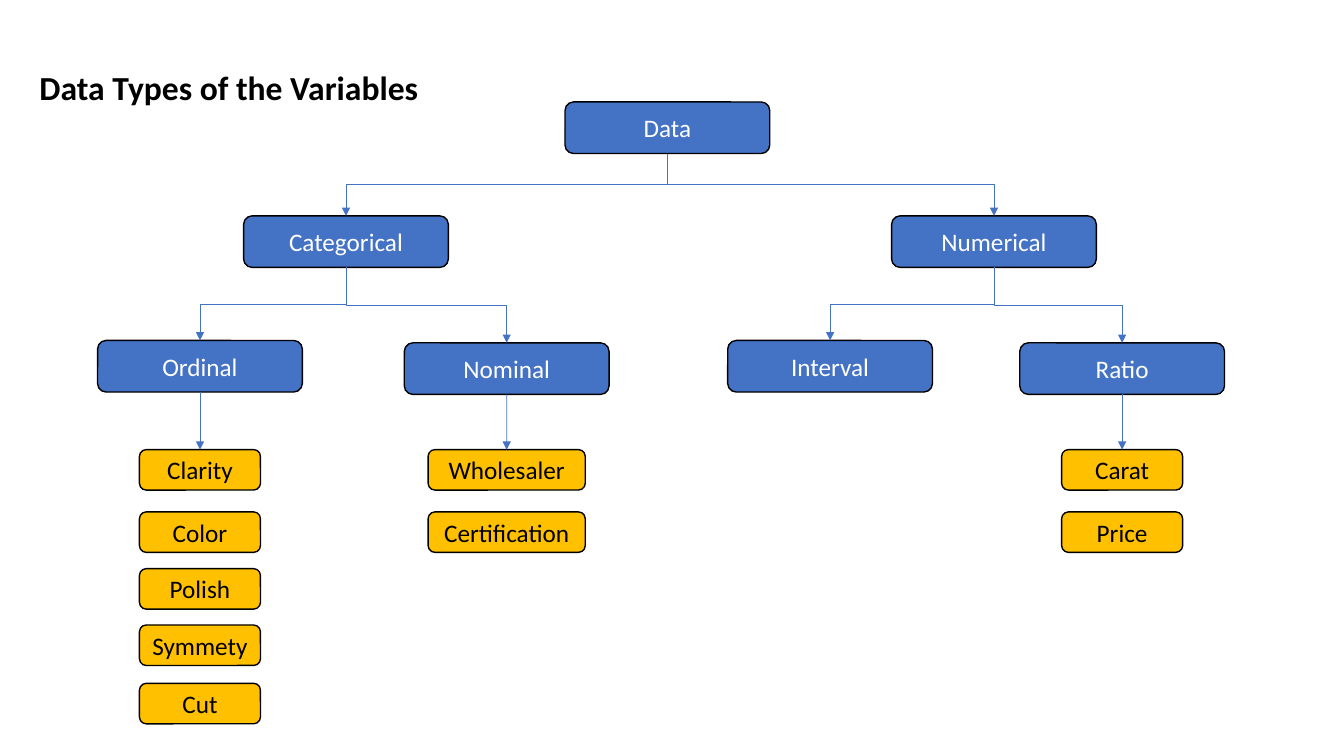
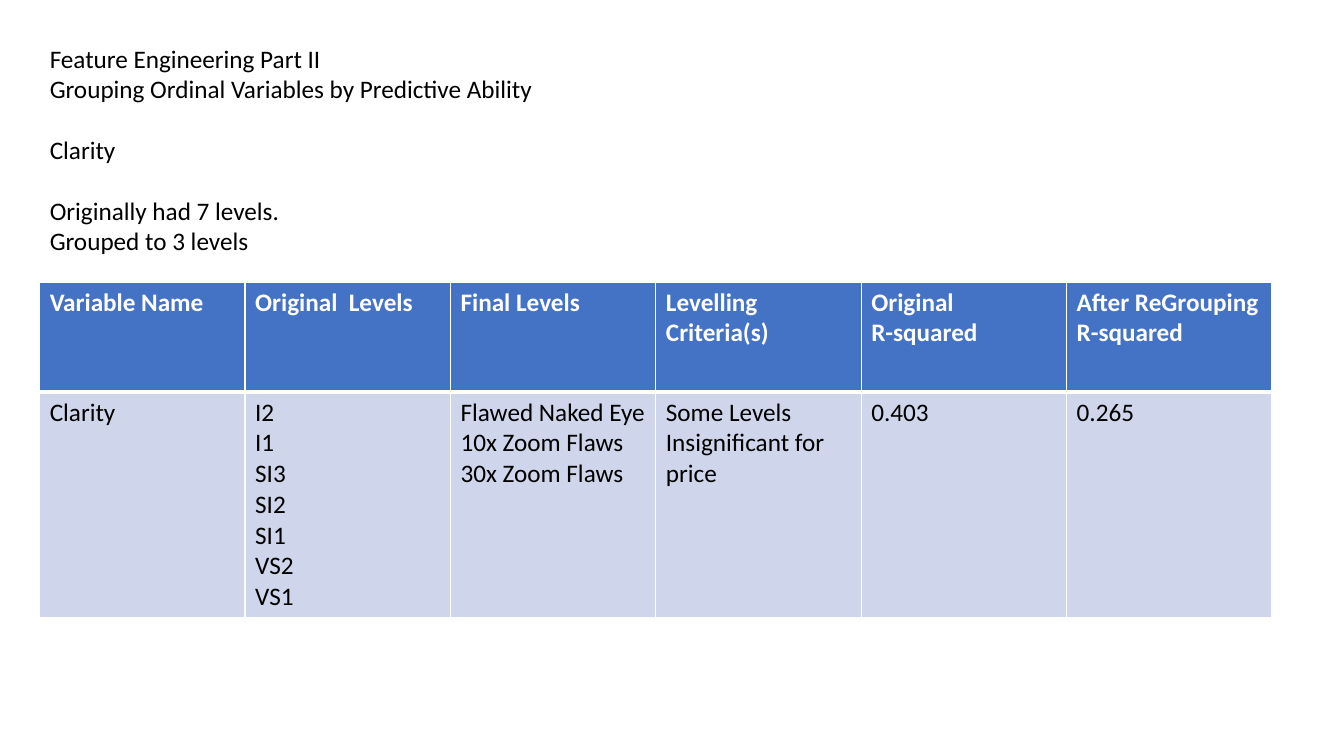
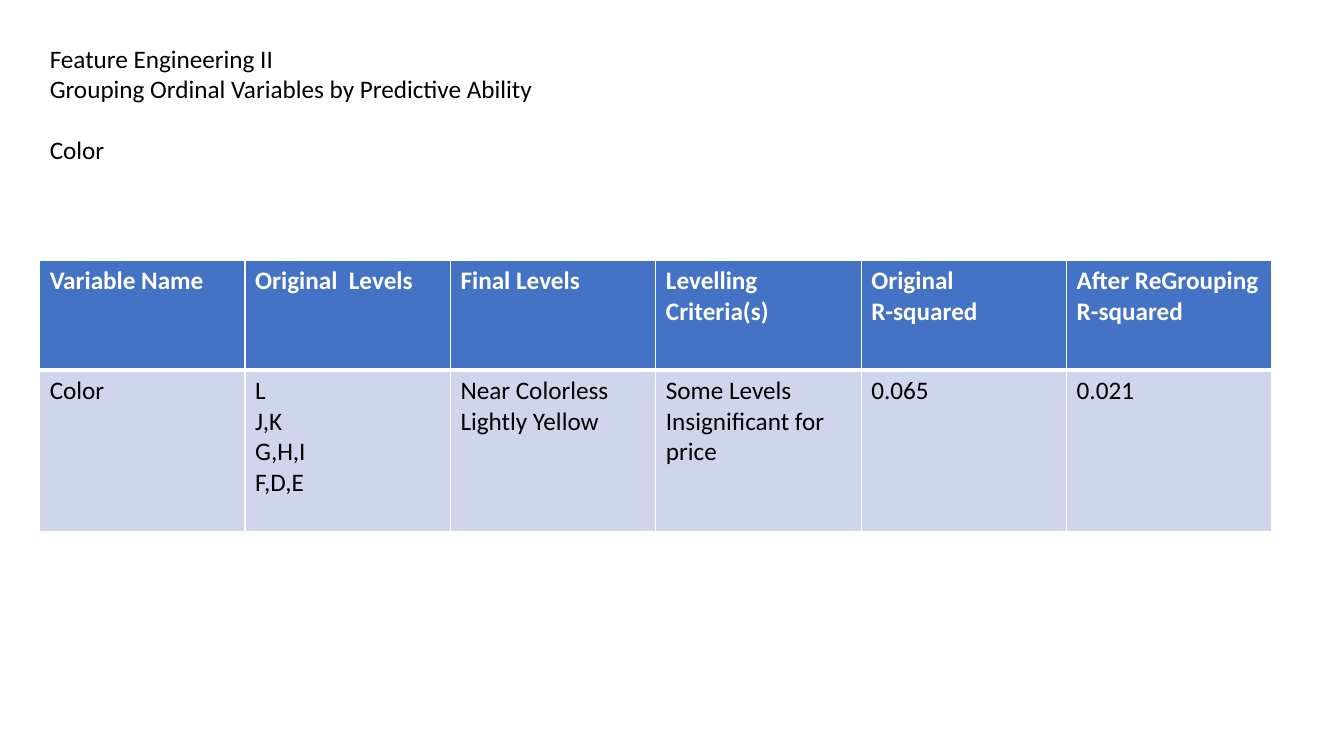
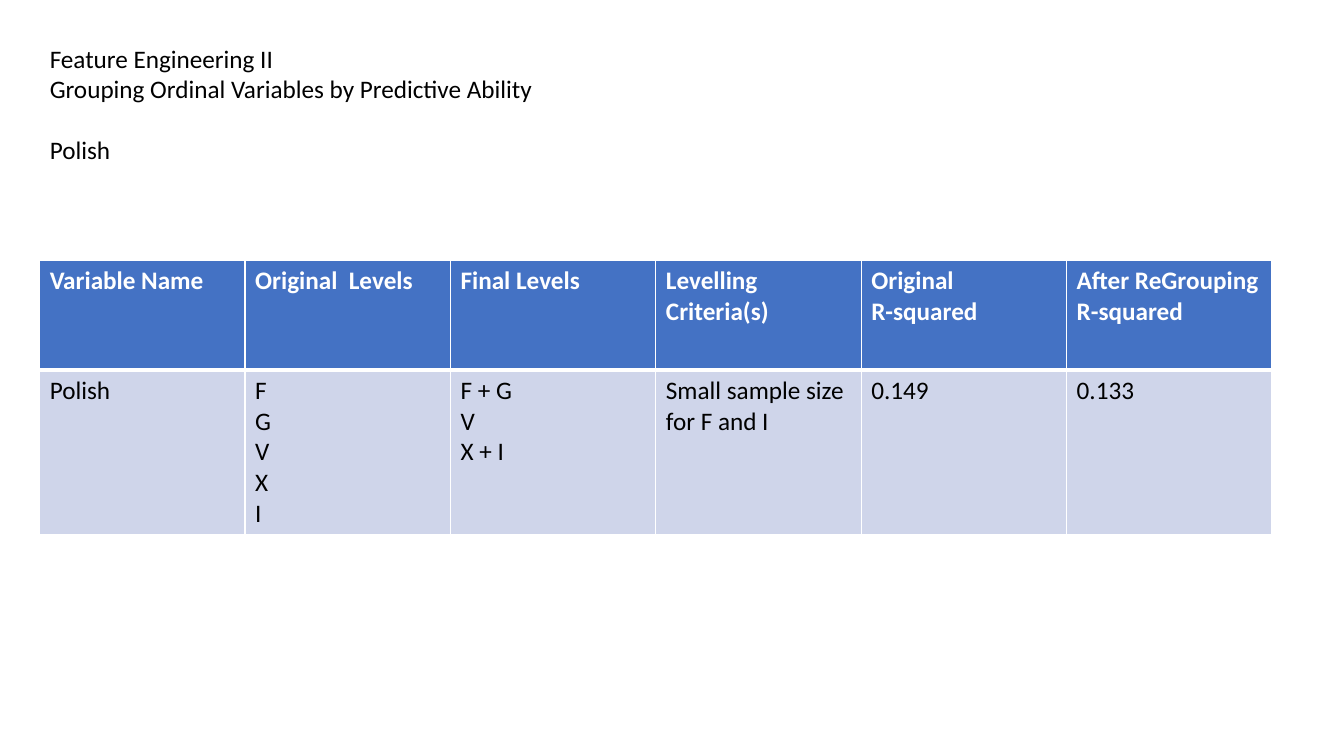
from dataclasses import dataclass

from lxml.etree import SubElement
from pptx import Presentation
from pptx.dml.color import RGBColor
from pptx.enum.shapes import MSO_CONNECTOR, MSO_SHAPE
from pptx.enum.text import MSO_ANCHOR, MSO_AUTO_SIZE, PP_ALIGN
from pptx.oxml.ns import qn
from pptx.util import Cm, Pt


@dataclass(frozen=True)
class Theme:
    font: str = "Calibri"
    blue: str = "4472C4"
    gold: str = "FFC000"
    pale: str = "CFD5EA"
    white: str = "FFFFFF"
    black: str = "000000"
    title_size: int = 24
    text_size: int = 18
    group_gap: int = 22
    outline: float = 1
    arrow: float = 0.5
    header_rule: float = 3


@dataclass(frozen=True)
class Box:
    """A region of the slide, in centimetres."""
    left: float
    top: float
    width: float
    height: float

    def place(self, shape):
        shape.left, shape.top = Cm(self.left), Cm(self.top)
        shape.width, shape.height = Cm(self.width), Cm(self.height)


THEME = Theme()
TITLE_ONLY, TITLE_AND_BODY = 5, 1

# Data tree: centre x, top and name of each category, below the tree's corner
CATEGORIES = {
    "Data": (14.36, 0, None),
    "Categorical": (6.26, 2.87, "Data"),
    "Numerical": (22.59, 2.87, "Data"),
    "Ordinal": (2.58, 6.01, "Categorical"),
    "Nominal": (10.31, 6.07, "Categorical"),
    "Interval": (18.46, 6.01, "Numerical"),
    "Ratio": (25.82, 6.07, "Numerical"),
}
VARIABLES = {
    "Ordinal": (3.05, ["Clarity", "Color", "Polish", "Symmety", "Cut"]),
    "Nominal": (3.96, ["Wholesaler", "Certification"]),
    "Ratio": (3.05, ["Carat", "Price"]),
}
VARIABLE_TOPS = [8.76, 10.33, 11.76, 13.18, 14.65]
CATEGORY_SIZE = (5.16, 1.3)
VARIABLE_HEIGHT = 1.02

# Regrouping tables
HEADERS = [["Variable Name"], ["Original  Levels"], ["Final Levels"],
           ["Levelling Criteria(s)"], ["Original", "R-squared"],
           ["After ReGrouping R-squared"]]
HEADER_HEIGHT = 2.77
LINE_HEIGHT, CELL_PADDING, MIN_LINES = 0.76, 0.26, 5
INSIGNIFICANT = ["Some Levels Insignificant for price"]
REGROUPINGS = [
    ("Feature Engineering Part II",
     [["Clarity"], ["Originally had 7 levels.", "Grouped to 3 levels"]], 7.11,
     [["Clarity"], ["I2", "I1", "SI3", "SI2", "SI1", "VS2", "VS1"],
      ["Flawed Naked Eye", "10x Zoom Flaws", "30x Zoom Flaws"],
      INSIGNIFICANT, ["0.403"], ["0.265"]]),
    ("Feature Engineering II", [["Color"]], 6.56,
     [["Color"], ["L", "J,K", "G,H,I", "F,D,E"],
      ["Near Colorless", "Lightly Yellow"],
      INSIGNIFICANT, ["0.065"], ["0.021"]]),
    ("Feature Engineering II", [["Polish"]], 6.56,
     [["Polish"], ["F", "G", "V", "X", "I"], ["F + G", "V", "X + I"],
      ["Small sample size for F and I"], ["0.149"], ["0.133"]]),
]


def rgb(color):
    return RGBColor.from_string(color)


def write_lines(frame, lines, color=THEME.black, size=THEME.text_size,
                bold=False, align=PP_ALIGN.LEFT):
    """Write one paragraph per line and return the paragraphs."""
    paragraphs = []
    for number, line in enumerate(lines):
        paragraph = frame.add_paragraph() if number else frame.paragraphs[0]
        paragraph.alignment = align
        run = paragraph.add_run()
        run.text = line
        run.font.name, run.font.size = THEME.font, Pt(size)
        run.font.bold, run.font.color.rgb = bold, rgb(color)
        paragraphs.append(paragraph)
    return paragraphs


def prepare_placeholder(placeholder, box):
    box.place(placeholder)
    frame = placeholder.text_frame
    frame.auto_size, frame.word_wrap = MSO_AUTO_SIZE.NONE, True
    frame.vertical_anchor = MSO_ANCHOR.TOP
    return frame


def add_title(slide, box, lines, **style):
    write_lines(prepare_placeholder(slide.shapes.title, box), lines, **style)


def add_body(slide, box, groups):
    """Fill the body with plain lines, leaving a gap between groups."""
    frame = prepare_placeholder(slide.placeholders[1], box)
    starts, lines = set(), []
    for group in groups:
        starts.add(len(lines))
        lines += group
    for number, paragraph in enumerate(write_lines(frame, lines)):
        gap = THEME.group_gap if number and number in starts else 0
        paragraph.space_before = Pt(gap)
        properties = paragraph._p.get_or_add_pPr()
        properties.set("marL", "0")
        properties.set("indent", "0")
        SubElement(properties, qn("a:buNone"))


def add_node(slide, box, label, fill, color):
    node = slide.shapes.add_shape(MSO_SHAPE.ROUNDED_RECTANGLE, 0, 0, 0, 0)
    box.place(node)
    node.shadow.inherit = False
    node.fill.solid()
    node.fill.fore_color.rgb = rgb(fill)
    node.line.color.rgb, node.line.width = rgb(THEME.black), Pt(THEME.outline)
    node.text_frame.word_wrap = False
    node.text_frame.vertical_anchor = MSO_ANCHOR.MIDDLE
    write_lines(node.text_frame, [label], color, align=PP_ALIGN.CENTER)
    return node


def add_arrow(slide, parent, child, kind):
    """Join the bottom of the parent to the top of the child."""
    arrow = slide.shapes.add_connector(kind, 0, 0, 0, 0)
    arrow.begin_connect(parent, 2)
    arrow.end_connect(child, 0)
    arrow.line.color.rgb, arrow.line.width = rgb(THEME.blue), Pt(THEME.arrow)
    properties = arrow._element.spPr
    SubElement(properties.find(qn("a:ln")), qn("a:tailEnd"), type="triangle")
    SubElement(properties, qn("a:effectLst"))
    if kind == MSO_CONNECTOR.ELBOW:
        turn_elbow(arrow)


def turn_elbow(arrow):
    """Turn an elbow so that it leaves downwards instead of sideways."""
    run, drop = arrow.end_x - arrow.begin_x, arrow.end_y - arrow.begin_y
    middle_x = (arrow.begin_x + arrow.end_x) // 2
    middle_y = (arrow.begin_y + arrow.end_y) // 2
    arrow.width, arrow.height = drop, abs(run)
    arrow.left, arrow.top = middle_x - drop // 2, middle_y - abs(run) // 2
    arrow.rotation = 270 if run > 0 else 90
    frame = arrow._element.spPr.find(qn("a:xfrm"))
    frame.set("flipH", "1" if run > 0 else "0")
    frame.set("flipV", "0")


def add_tree(slide, box):
    def node_box(center, top, width, height):
        return Box(box.left + center - width / 2, box.top + top, width, height)

    # Categories and the elbows between them
    nodes = {}
    for label, (center, top, parent) in CATEGORIES.items():
        nodes[label] = add_node(slide, node_box(center, top, *CATEGORY_SIZE),
                                label, THEME.blue, THEME.white)
        if parent:
            add_arrow(slide, nodes[parent], nodes[label], MSO_CONNECTOR.ELBOW)

    # Variables below their category
    for category, (width, labels) in VARIABLES.items():
        center = CATEGORIES[category][0]
        column = [add_node(slide, node_box(center, top, width, VARIABLE_HEIGHT),
                           label, THEME.gold, THEME.black)
                  for label, top in zip(labels, VARIABLE_TOPS)]
        add_arrow(slide, nodes[category], column[0], MSO_CONNECTOR.STRAIGHT)


def style_cell(cell, fill, top_rule, bottom_rule):
    properties = cell._tc.get_or_add_tcPr()
    rules = {"L": THEME.outline, "R": THEME.outline,
             "T": top_rule, "B": bottom_rule}
    for side, width in rules.items():
        border = SubElement(properties, qn(f"a:ln{side}"), w=str(Pt(width)))
        paint = SubElement(border, qn("a:solidFill"))
        SubElement(paint, qn("a:srgbClr"), val=THEME.white)
    cell.fill.solid()
    cell.fill.fore_color.rgb = rgb(fill)


def add_regrouping_table(slide, box, values):
    table = slide.shapes.add_table(2, len(HEADERS), Cm(box.left), Cm(box.top),
                                   Cm(box.width), Cm(box.height)).table
    table.rows[0].height = Cm(HEADER_HEIGHT)
    table.rows[1].height = Cm(box.height - HEADER_HEIGHT)
    for number, (header, value) in enumerate(zip(HEADERS, values)):
        table.columns[number].width = Cm(box.width / len(HEADERS))
        head, entry = table.cell(0, number), table.cell(1, number)
        style_cell(head, THEME.blue, THEME.outline, THEME.header_rule)
        style_cell(entry, THEME.pale, THEME.header_rule, THEME.outline)
        write_lines(head.text_frame, header, THEME.white, bold=True)
        write_lines(entry.text_frame, value)


def add_data_types_slide(deck):
    slide = deck.slides.add_slide(deck.slide_layouts[TITLE_ONLY])
    add_title(slide, Box(0.74, 1.55, 12, 1.27), ["Data Types of the Variables"],
              size=THEME.title_size, bold=True)
    add_tree(slide, Box(2.46, 2.57, 28.6, 15.7))


def add_regrouping_slide(deck, heading, groups, table_top, values):
    slide = deck.slides.add_slide(deck.slide_layouts[TITLE_AND_BODY])
    add_title(slide, Box(1, 0.97, 14, 2),
              [heading, "Grouping Ordinal Variables by Predictive Ability"])
    add_body(slide, Box(1, 3.25, 14, 3.3), groups)
    lines = max(MIN_LINES, *(len(value) for value in values))
    height = HEADER_HEIGHT + lines * LINE_HEIGHT + CELL_PADDING
    add_regrouping_table(slide, Box(1, table_top, 31.06, height), values)


def main():
    deck = Presentation()
    deck.slide_width, deck.slide_height = Cm(33.87), Cm(19.05)
    add_data_types_slide(deck)
    for regrouping in REGROUPINGS:
        add_regrouping_slide(deck, *regrouping)
    deck.save("out.pptx")


if __name__ == "__main__":
    main()
